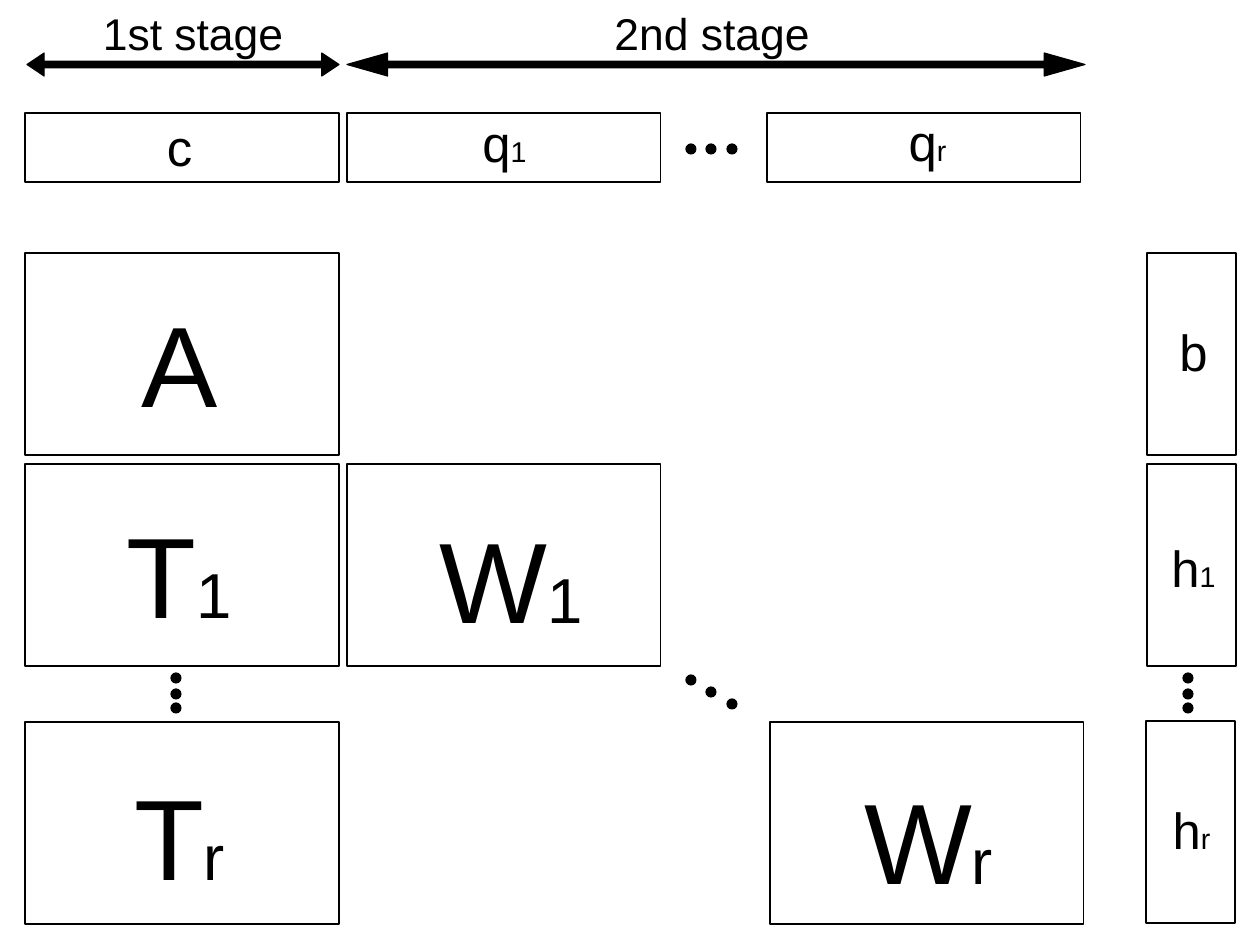
"""Build a slide of the block structure of a two-stage problem."""
from pptx import Presentation
from pptx.dml.color import RGBColor
from pptx.enum.shapes import MSO_SHAPE
from pptx.enum.text import MSO_AUTO_SIZE, PP_ALIGN
from pptx.util import Pt

RECT = MSO_SHAPE.RECTANGLE
OVAL = MSO_SHAPE.OVAL
ARROW = MSO_SHAPE.LEFT_RIGHT_ARROW
CENTER = PP_ALIGN.CENTER
GROW = MSO_AUTO_SIZE.SHAPE_TO_FIT_TEXT

PX = 8000
WIDE, HIGH = 1260, 945
FONT = "Arial"
COLOR = {"ink": "000000"}
DOT = 10
BODY = 0.285

BLOCK, HEAD, SIDE = (314, 202), (314, 69), (89, 202)
BOXES = [
    (BLOCK, [(25, 253), (25, 464), (25, 722), (347, 464), (770, 722)]),
    (HEAD, [(25, 113), (347, 113), (767, 113)]),
    (SIDE, [(1147, 253), (1147, 464), (1146, 721)]),
]
ARROWS = [(27, 312, 0.747), (347, 738, 1.769)]
STEPS_X, STEPS_Y = (686, 706, 727), (673, 689, 703)
DOTS = (
    [(x, y) for x in (171, 1183) for y in STEPS_Y]
    + [(x, 144) for x in STEPS_X]
    + list(zip(STEPS_X, (675, 687, 699)))
)

LABELS = [
    (72, 40, [
        ("A", "", 101, 288, 157, 139), ("T", "1", 101, 499, 157, 139),
        ("T", "r", 101, 761, 157, 139), ("W", "1", 414, 504, 194, 210),
        ("W", "r", 850, 765, 157, 139),
    ]),
    (32, 18, [
        ("c", "", 101, 110, 157, 122), ("q", "1", 426, 106, 157, 122),
        ("q", "r", 849, 105, 157, 122), ("b", "", 1115, 315, 157, 122),
        ("h", "1", 1115, 531, 157, 122), ("h", "r", 1113, 793, 157, 122),
    ]),
    (28, 28, [
        ("1st stage", "", 66, 0, 254, 80),
        ("2nd stage", "", 585, 0, 254, 80),
    ]),
]


def px(*sizes):
    return [size * PX for size in sizes]


def add_form(slide, kind, x, y, w, h, solid=True):
    form = slide.shapes.add_shape(kind, *px(x, y, w, h))
    form.shadow.inherit = False
    ink = RGBColor.from_string(COLOR["ink"])
    if solid:
        form.fill.solid()
        form.fill.fore_color.rgb = ink
    else:
        form.fill.background()
    form.line.color.rgb = ink
    form.line.width = 0
    return form


def add_label(slide, size, small, main, sub, *place):
    frame = slide.shapes.add_textbox(*px(*place)).text_frame
    frame.word_wrap = True
    frame.auto_size = GROW
    para = frame.paragraphs[0]
    para.alignment = CENTER
    para.font.name = FONT
    para.font.size = Pt(size)
    para.font.color.rgb = RGBColor.from_string(COLOR["ink"])
    para.add_run().text = main
    if sub:
        run = para.add_run()
        run.text = sub
        run.font.size = Pt(small)


def main():
    deck = Presentation()
    deck.slide_width, deck.slide_height = px(WIDE, HIGH)
    slide = deck.slides.add_slide(deck.slide_layouts[6])
    for (w, h), spots in BOXES:
        for x, y in spots:
            add_form(slide, RECT, x, y, w, h, solid=False)
    for x, w, tip in ARROWS:
        arrow = add_form(slide, ARROW, x, 53, w, 23)
        arrow.adjustments[0] = BODY
        arrow.adjustments[1] = tip
    for x, y in DOTS:
        add_form(slide, OVAL, x, y, DOT, DOT)
    for size, small, items in LABELS:
        for item in items:
            add_label(slide, size, small, *item)
    deck.save("out.pptx")


if __name__ == "__main__":
    main()
